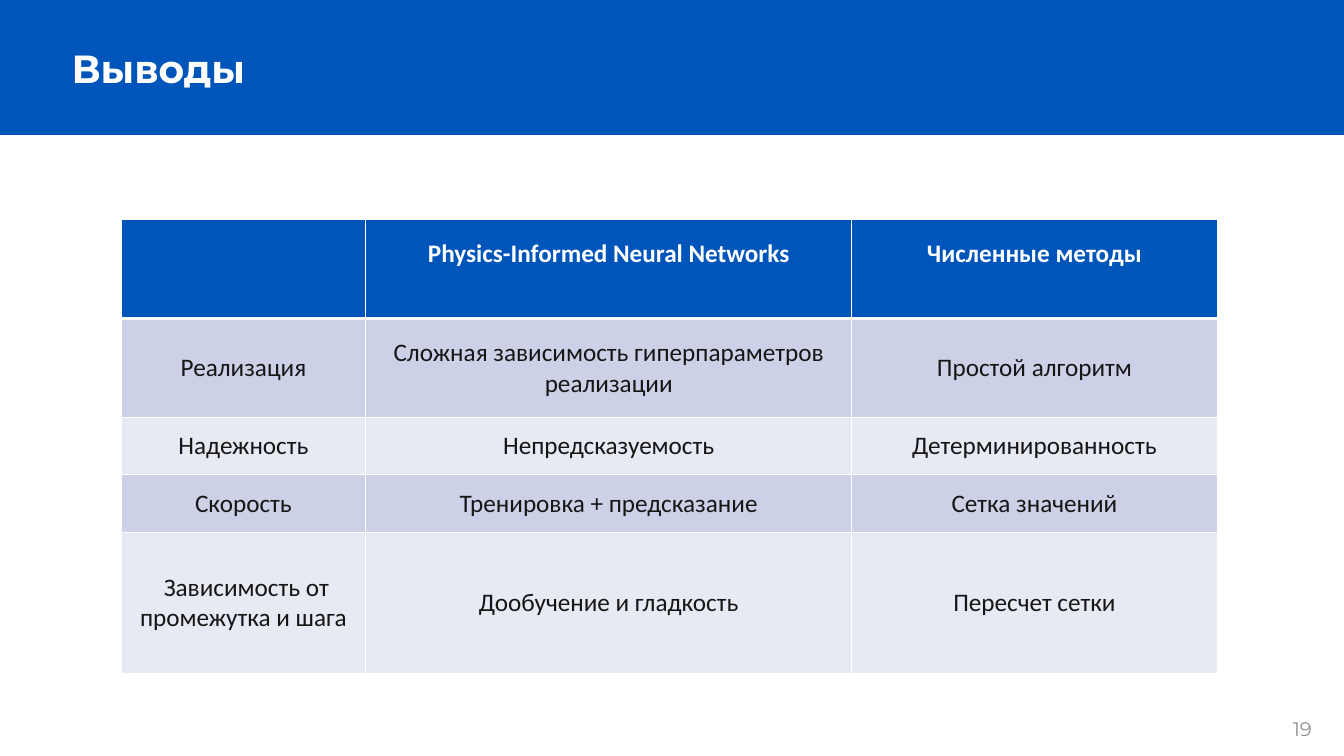
from dataclasses import dataclass

from lxml.etree import SubElement
from pptx import Presentation
from pptx.dml.color import RGBColor
from pptx.enum.shapes import MSO_SHAPE as Shape
from pptx.enum.text import MSO_ANCHOR as Anchor, MSO_AUTO_SIZE as Fit, PP_ALIGN as Align
from pptx.oxml.ns import qn
from pptx.util import Cm, Pt


@dataclass(frozen=True)
class Theme:
    blue: str = "0055BB"
    white: str = "FFFFFF"
    ink: str = "171616"
    grey: str = "8F9092"
    bands: tuple = ("CCD1E7", "E7E9F3")
    heading_font: str = "Montserrat"
    table_font: str = "Calibri"
    title_size: int = 28
    table_size: int = 18
    number_size: int = 14
    thin: int = 1
    thick: int = 3


THEME = Theme()

HEADER = ("", "Physics-Informed Neural Networks", "Численные методы")
ROWS = (
    ("Реализация", "Сложная зависимость гиперпараметров реализации", "Простой алгоритм"),
    ("Надежность", "Непредсказуемость", "Детерминированность"),
    ("Скорость", "Тренировка + предсказание", "Сетка значений"),
    (" Зависимость от промежутка и шага", "Дообучение и гладкость", "Пересчет сетки"),
)
COLUMN_SHARES = (2.43, 4.82, 3.63)
ROW_SHARES = (0.98, 0.98, 0.57, 0.57, 1.4)


def apply(target, values):
    for name, value in values.items():
        setattr(target, name, value)


def write(frame, text, color, font, align=Align.LEFT):
    para = frame.paragraphs[0]
    para.alignment = align
    span = para.add_run()
    span.text = text
    apply(span.font, font)
    span.font.color.rgb = RGBColor.from_string(color)


def add_header(page, left, top, width, height):
    # Blue band behind the title
    band = page.shapes.add_shape(Shape.RECTANGLE, Cm(left), Cm(top), Cm(width), Cm(height))
    band.shadow.inherit = False
    band.fill.solid()
    band.fill.fore_color.rgb = RGBColor.from_string(THEME.blue)
    band.line.fill.background()

    # Title
    title = page.shapes.title
    title.element.addprevious(band.element)
    apply(title, {"left": Cm(left + 1.55), "top": Cm(top + 0.99),
                  "width": Cm(width - 3.07), "height": Cm(1.45)})
    apply(title.text_frame, {"vertical_anchor": Anchor.MIDDLE, "auto_size": Fit.NONE,
                             "word_wrap": True})
    write(title.text_frame, "Выводы", THEME.white,
          {"name": THEME.heading_font, "size": Pt(THEME.title_size), "bold": True})


def add_borders(cell, widths):
    properties = cell._tc.get_or_add_tcPr()
    for position, (side, width) in enumerate(widths.items()):
        line = SubElement(properties, qn(f"a:ln{side}"), w=str(Pt(width)))
        fill = SubElement(line, qn("a:solidFill"))
        SubElement(fill, qn("a:srgbClr"), val=THEME.white)
        properties.insert(position, line)


def format_cell(cell, text, row):
    is_header = row == 0
    cell.fill.solid()
    cell.fill.fore_color.rgb = RGBColor.from_string(
        THEME.blue if is_header else THEME.bands[(row - 1) % 2])
    cell.vertical_anchor = Anchor.MIDDLE
    if is_header:
        cell.margin_bottom = Cm(0.9)
    add_borders(cell, {"L": THEME.thin, "R": THEME.thin,
                       "T": THEME.thick if row == 1 else THEME.thin,
                       "B": THEME.thick if is_header else THEME.thin})
    if text:
        write(cell.text_frame, text, THEME.white if is_header else THEME.ink,
              {"name": THEME.table_font, "size": Pt(THEME.table_size), "bold": is_header},
              Align.CENTER)


def add_comparison(page, left, top, width, height):
    lines = (HEADER, *ROWS)
    table = page.shapes.add_table(len(lines), len(HEADER), Cm(left), Cm(top),
                                  Cm(width), Cm(height)).table
    for column, share in zip(table.columns, COLUMN_SHARES):
        column.width = Cm(width * share / sum(COLUMN_SHARES))
    for row, share in zip(table.rows, ROW_SHARES):
        row.height = Cm(height * share / sum(ROW_SHARES))
    for row, texts in enumerate(lines):
        for column, text in enumerate(texts):
            format_cell(table.cell(row, column), text, row)


def add_page_number(page, left, top, width, height):
    box = page.shapes.add_textbox(Cm(left), Cm(top), Cm(width), Cm(height))
    box.text_frame.word_wrap = False
    write(box.text_frame, "19", THEME.grey,
          {"name": THEME.heading_font, "size": Pt(THEME.number_size)})


def main():
    deck = Presentation()
    apply(deck, {"slide_width": Cm(33.87), "slide_height": Cm(19.05)})
    page = deck.slides.add_slide(deck.slide_layouts[5])
    add_header(page, 0, 0, 33.87, 3.4)
    add_comparison(page, 3.05, 5.54, 27.63, 11.43)
    add_page_number(page, 32.33, 17.93, 1.14, 0.86)
    deck.save("out.pptx")


if __name__ == "__main__":
    main()
